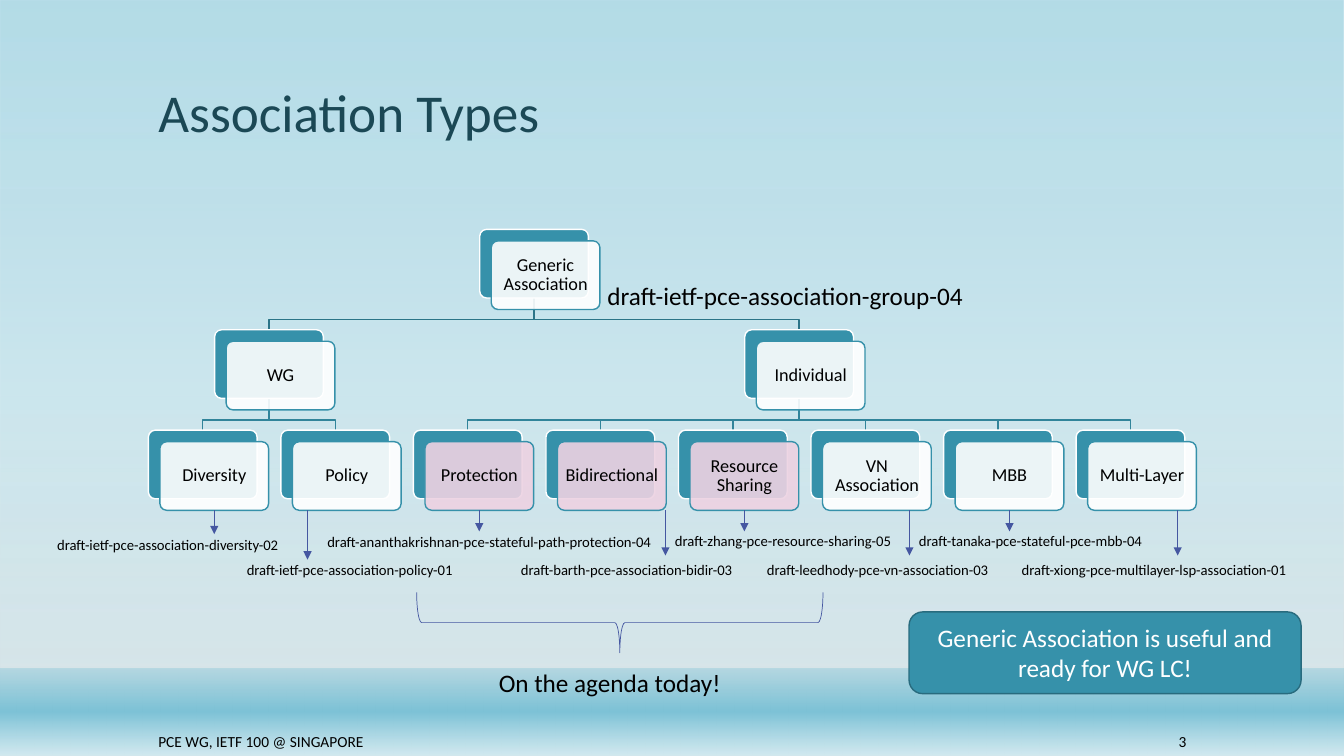
from dataclasses import dataclass

from pptx import Presentation
from pptx.dml.color import RGBColor
from pptx.enum.shapes import MSO_CONNECTOR, MSO_SHAPE
from pptx.enum.text import MSO_ANCHOR, PP_ALIGN
from pptx.oxml.ns import qn
from pptx.util import Cm, Pt
from lxml.etree import SubElement


@dataclass(frozen=True)
class Theme:
    font: str = "Calibri"
    title: str = "1B4855"
    ink: str = "000000"
    white: str = "FFFFFF"
    teal: str = "3691AA"
    callout_line: str = "286B7E"
    agenda: str = "EDD2E2"
    root_branch: str = "2B7488"
    leaf_branch: str = "31849A"
    arrow: str = "4557A1"
    title_size: float = 38
    large_size: float = 18
    card_size: float = 13
    footer_size: float = 11
    draft_size: float = 10.5


@dataclass(frozen=True)
class Node:
    """A card of the tree; column counts card steps from the left."""
    name: str
    column: float
    row: int
    on_agenda: bool = False


@dataclass(frozen=True)
class Draft:
    """A draft name and the arrow to it, shifted from the middle of its card."""
    name: str
    left: float
    top: float
    width: float
    arrow_end: float
    arrow_shift: float = 0


THEME = Theme()
SLIDE_WIDTH, SLIDE_HEIGHT = 33.87, 19.05
CARD_WIDTH, CARD_HEIGHT, CARD_OFFSET = 2.74, 1.73, 0.29
TREE_LEFT, TREE_TOP, COLUMN_STEP, ROW_STEP = 3.74, 5.78, 3.34, 2.53
BRANCH_DROP = 0.54

ROOT = Node("Generic Association", 2.5, 0)
WORKING_GROUP = Node("WG", 0.5, 1)
INDIVIDUAL = Node("Individual", 4.5, 1)
LEAVES = [
    (Node("Diversity", 0, 2),
     Draft("draft-ietf-pce-association-diversity-02", 1.19, 13.39, 6.2, 13.46)),
    (Node("Policy", 1, 2),
     Draft("draft-ietf-pce-association-policy-01", 5.97, 14, 6.1, 14.1, -0.99)),
    (Node("Protection", 2, 2, True),
     Draft("draft-ananthakrishnan-pce-stateful-path-protection-04", 8, 13.3, 9.47, 13.39)),
    (Node("Bidirectional", 3, 2, True),
     Draft("draft-barth-pce-association-bidir-03", 12.88, 14, 6.1, 14, 1.35)),
    (Node("Resource Sharing", 4, 2, True),
     Draft("draft-zhang-pce-resource-sharing-05", 16.76, 13.28, 6.1, 13.39)),
    (Node("VN Association", 5, 2),
     Draft("draft-leedhody-pce-vn-association-03", 19.08, 14, 6.32, 14, 0.82)),
    (Node("MBB", 6, 2),
     Draft("draft-tanaka-pce-stateful-pce-mbb-04", 22.91, 13.28, 6.45, 13.39)),
    (Node("Multi-Layer", 7, 2),
     Draft("draft-xiong-pce-multilayer-lsp-association-01", 25.5, 14, 7.87, 14, 0.9)),
]


def rgb(color: str) -> RGBColor:
    return RGBColor.from_string(color)


def set_alpha(color_element, percent: float) -> None:
    SubElement(color_element, qn("a:alpha")).set("val", str(int(percent * 1000)))


def fill_gradient(fill, owner, stops) -> None:
    """Fill from top to bottom; each stop is position, colour and opacity in percent."""
    fill.gradient()
    fill.gradient_angle = 270
    stop_list = owner.find(".//" + qn("a:gsLst"))
    for old_stop in list(stop_list):
        stop_list.remove(old_stop)
    for position, color, opacity in stops:
        stop = SubElement(stop_list, qn("a:gs"))
        stop.set("pos", str(position * 1000))
        color_element = SubElement(stop, qn("a:srgbClr"))
        color_element.set("val", color)
        set_alpha(color_element, opacity)


def write(shape, text, size, color=THEME.ink, align=PP_ALIGN.LEFT,
          anchor=MSO_ANCHOR.TOP, spacing=1.0) -> None:
    frame = shape.text_frame
    frame.text = text
    frame.word_wrap = True
    frame.vertical_anchor = anchor
    para = frame.paragraphs[0]
    para.alignment = align
    para.line_spacing = spacing
    font = para.runs[0].font
    font.name, font.size, font.color.rgb = THEME.font, Pt(size), rgb(color)


def add_label(slide, text, left, top, width, height, size, **style) -> None:
    box = slide.shapes.add_textbox(Cm(left), Cm(top), Cm(width), Cm(height))
    write(box, text, size, **style)


def add_box(slide, kind, left, top, width, height, fill=None, line=None, weight=1.0):
    shape = slide.shapes.add_shape(kind, Cm(left), Cm(top), Cm(width), Cm(height))
    shape.shadow.inherit = False
    if fill:
        shape.fill.solid()
        shape.fill.fore_color.rgb = rgb(fill)
    else:
        shape.fill.background()
    if line:
        shape.line.color.rgb = rgb(line)
        shape.line.width = Pt(weight)
    else:
        shape.line.fill.background()
    return shape


def add_backdrop(slide) -> None:
    fill_gradient(slide.background.fill, slide.element,
                  [(0, "FFFFFF", 100), (50, "FBFBFB", 100), (100, "D1D1D1", 100)])
    sky = [(0, "7DC2D6", 58), (88, "D4EBF1", 65)]
    water = [(1, "7DC2D6", 38), (49, "7DC2D6", 100), (100, "D4EBF1", 89)]
    for top, stops in ((0, sky), (16.84, water)):
        band = add_box(slide, MSO_SHAPE.RECTANGLE, 0, top, SLIDE_WIDTH, SLIDE_HEIGHT - top)
        fill_gradient(band.fill, band.element, stops)


def add_title(slide, text: str) -> None:
    title = slide.shapes.title
    title.element.getparent().append(title.element)  # in front of the backdrop
    title.left, title.top, title.width, title.height = Cm(3.74), Cm(0.74), Cm(26.42), Cm(3.02)
    write(title, text, THEME.title_size, THEME.title, anchor=MSO_ANCHOR.BOTTOM, spacing=0.9)


def corner(node: Node) -> tuple[float, float]:
    return TREE_LEFT + node.column * COLUMN_STEP, TREE_TOP + node.row * ROW_STEP


def add_branch(slide, parent: Node, child: Node, color: str) -> None:
    (parent_left, parent_top), (child_left, child_top) = corner(parent), corner(child)
    start_x, end_x = parent_left + CARD_WIDTH / 2, child_left + CARD_WIDTH / 2
    start_y = parent_top + CARD_HEIGHT
    bend_y = start_y + BRANCH_DROP
    builder = slide.shapes.build_freeform(Cm(start_x), Cm(start_y))
    builder.add_line_segments([(Cm(start_x), Cm(bend_y)), (Cm(end_x), Cm(bend_y)),
                               (Cm(end_x), Cm(child_top))], close=False)
    branch = builder.convert_to_shape()
    branch.shadow.inherit = False
    branch.fill.background()
    branch.line.color.rgb = rgb(color)
    branch.line.width = Pt(1)


def add_card(slide, node: Node):
    """Draw the two layers of a card and return the front one."""
    left, top = corner(node)
    front_fill = THEME.agenda if node.on_agenda else THEME.white
    layers = ((0, THEME.teal, THEME.white), (CARD_OFFSET, front_fill, THEME.teal))
    for offset, fill, line in layers:
        card = add_box(slide, MSO_SHAPE.ROUNDED_RECTANGLE, left + offset, top + offset,
                       CARD_WIDTH, CARD_HEIGHT, fill, line)
        card.adjustments[0] = 0.1
    set_alpha(card.element.spPr.find(qn("a:solidFill"))[0], 90)
    write(card, node.name, THEME.card_size, align=PP_ALIGN.CENTER,
          anchor=MSO_ANCHOR.MIDDLE, spacing=0.9)
    frame = card.text_frame
    frame.margin_left = frame.margin_right = frame.margin_top = frame.margin_bottom = Cm(0.13)
    return card


def add_draft(slide, card, draft: Draft) -> None:
    add_label(slide, draft.name, draft.left, draft.top, draft.width, 0.71, THEME.draft_size)
    x = card.left + card.width // 2 + Cm(draft.arrow_shift)
    arrow = slide.shapes.add_connector(MSO_CONNECTOR.STRAIGHT, x, card.top + card.height,
                                       x, Cm(draft.arrow_end))
    if not draft.arrow_shift:
        arrow.begin_connect(card, 2)
    arrow.line.color.rgb = rgb(THEME.arrow)
    arrow.line.width = Pt(0.5)
    properties = arrow.element.spPr
    SubElement(properties.find(qn("a:ln")), qn("a:tailEnd")).set("type", "triangle")
    SubElement(properties, qn("a:effectLst"))


def main() -> None:
    deck = Presentation()
    deck.slide_width, deck.slide_height = Cm(SLIDE_WIDTH), Cm(SLIDE_HEIGHT)
    slide = deck.slides.add_slide(deck.slide_layouts[5])
    add_backdrop(slide)
    add_title(slide, "Association Types")

    for group in (WORKING_GROUP, INDIVIDUAL):
        add_branch(slide, ROOT, group, THEME.root_branch)
    for leaf, _ in LEAVES:
        group = WORKING_GROUP if leaf.column < 2 else INDIVIDUAL
        add_branch(slide, group, leaf, THEME.leaf_branch)
    for node in (ROOT, WORKING_GROUP, INDIVIDUAL):
        add_card(slide, node)
    for leaf, draft in LEAVES:
        add_draft(slide, add_card(slide, leaf), draft)
    add_label(slide, "draft-ietf-pce-association-group-04", 15.06, 6.93, 10.16, 1.8,
              THEME.large_size)

    brace = add_box(slide, MSO_SHAPE.RIGHT_BRACE, 14.86, 10.57, 1.52, 10.24,
                    line=THEME.arrow, weight=0.5)
    brace.rotation = 90
    add_label(slide, "On the agenda today!", 12.32, 16.69, 6.73, 1.02, THEME.large_size)
    callout = add_box(slide, MSO_SHAPE.ROUNDED_RECTANGLE, 22.91, 15.42, 9.88, 2.06,
                      THEME.teal, THEME.callout_line)
    write(callout, "Generic Association is useful and ready for WG LC!", THEME.large_size,
          THEME.white, PP_ALIGN.CENTER, MSO_ANCHOR.MIDDLE)

    add_label(slide, "PCE WG, IETF 100 @ SINGAPORE", 3.74, 18.34, 19.89, 0.66,
              THEME.footer_size, anchor=MSO_ANCHOR.MIDDLE)
    add_label(slide, "3", 28.37, 18.34, 1.78, 0.66, THEME.footer_size,
              align=PP_ALIGN.RIGHT, anchor=MSO_ANCHOR.MIDDLE)
    deck.save("out.pptx")


if __name__ == "__main__":
    main()
